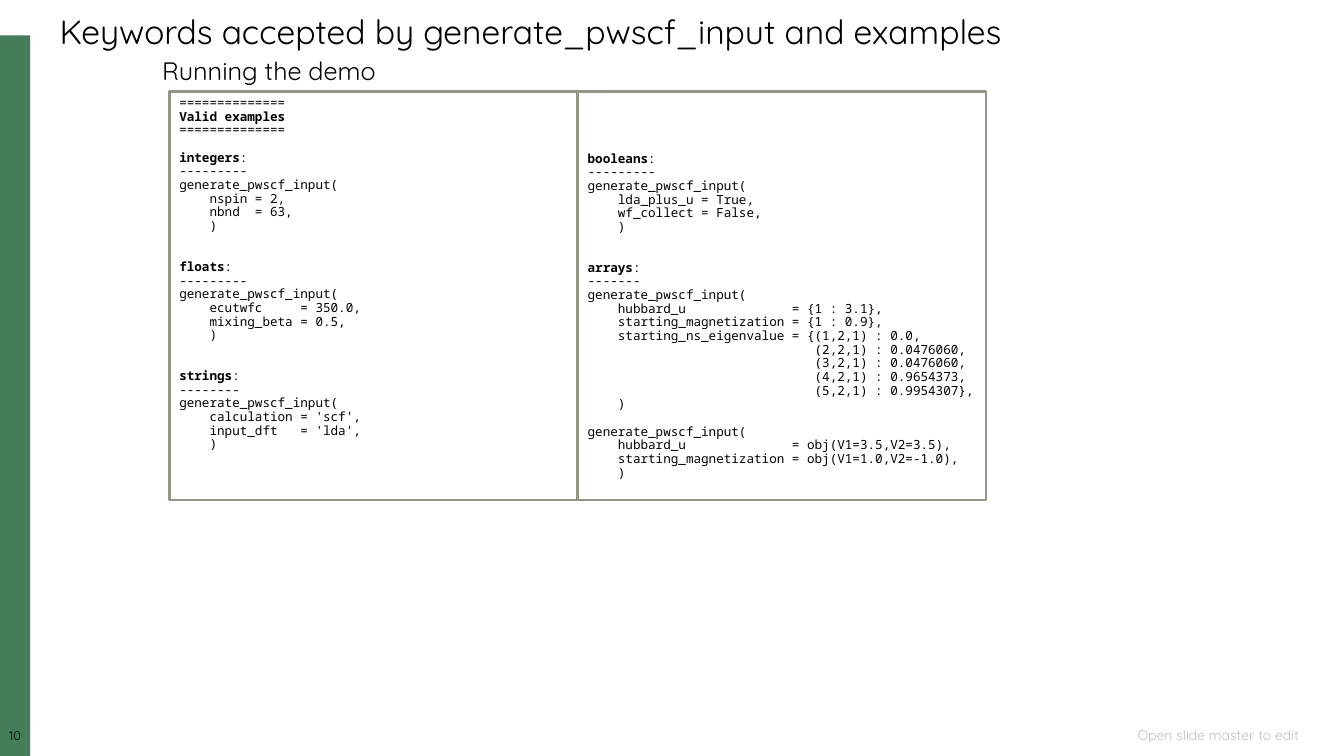
from pptx import Presentation
from pptx.dml.color import RGBColor
from pptx.enum.shapes import MSO_SHAPE
from pptx.enum.text import MSO_ANCHOR, MSO_AUTO_SIZE, PP_ALIGN
from pptx.util import Inches, Pt

BLACK = RGBColor(0x00, 0x00, 0x00)
GREEN = RGBColor(0x44, 0x7E, 0x59)
SAGE = RGBColor(0x91, 0x97, 0x85)
GRAY = RGBColor(0xBF, 0xBF, 0xBF)
SANS = "Quicksand"
MONO = "Noto Sans Mono"
CODE_PITCH = 9.75

BASIC_EXAMPLES = """==============
**Valid examples
==============

**integers:
---------
generate_pwscf_input(
    nspin = 2,
    nbnd  = 63,
    )


**floats:
---------
generate_pwscf_input(
    ecutwfc     = 350.0,
    mixing_beta = 0.5,
    )


**strings:
--------
generate_pwscf_input(
    calculation = 'scf',
    input_dft   = 'lda',
    )"""

COMPOUND_EXAMPLES = """**booleans:
---------
generate_pwscf_input(
    lda_plus_u = True,
    wf_collect = False,
    )


**arrays:
-------
generate_pwscf_input(
    hubbard_u              = {1 : 3.1},
    starting_magnetization = {1 : 0.9},
    starting_ns_eigenvalue = {(1,2,1) : 0.0,
                              (2,2,1) : 0.0476060,
                              (3,2,1) : 0.0476060,
                              (4,2,1) : 0.9654373,
                              (5,2,1) : 0.9954307},
    )

generate_pwscf_input(
    hubbard_u              = obj(V1=3.5,V2=3.5),
    starting_magnetization = obj(V1=1.0,V2=-1.0),
    )"""


def style_paragraph(para, font_name, size, color=BLACK, align=PP_ALIGN.LEFT):
    para.alignment = align
    para.line_spacing = 0.9
    para.font.name = font_name
    para.font.size = Pt(size)
    para.font.color.rgb = color


def place(shape, left, top, width, height):
    shape.left, shape.top = Inches(left), Inches(top)
    shape.width, shape.height = Inches(width), Inches(height)


def add_title(page, left, top, width, height):
    title = page.shapes.title
    place(title, left, top, width, height)
    frame = title.text_frame
    frame.text = "Keywords accepted by generate_pwscf_input and examples"
    frame.vertical_anchor = MSO_ANCHOR.MIDDLE
    frame.auto_size = MSO_AUTO_SIZE.NONE
    style_paragraph(frame.paragraphs[0], SANS, 24)


def add_label(page, text, left, top, width, height, size,
              color=BLACK, align=PP_ALIGN.LEFT, inset=True):
    label = page.shapes.add_textbox(
        Inches(left), Inches(top), Inches(width), Inches(height))
    frame = label.text_frame
    frame.text = text
    frame.word_wrap = True
    frame.vertical_anchor = MSO_ANCHOR.MIDDLE if inset else MSO_ANCHOR.TOP
    if not inset:
        frame.margin_left = frame.margin_right = 0
        frame.margin_top = frame.margin_bottom = 0
    style_paragraph(frame.paragraphs[0], SANS, size, color, align)


def add_rectangle(page, left, top, width, height):
    box = page.shapes.add_shape(
        MSO_SHAPE.RECTANGLE,
        Inches(left), Inches(top), Inches(width), Inches(height))
    box.shadow.inherit = False
    return box


def add_side_bar(page, left, top, width, height):
    bar = add_rectangle(page, left, top, width, height)
    bar.fill.solid()
    bar.fill.fore_color.rgb = GREEN
    bar.line.fill.background()
    add_label(page, "10", left, top + height - 0.26, width, 0.17, 9,
              align=PP_ALIGN.CENTER, inset=False)


def add_code_panel(page, code, left, top, width, height, top_margin):
    panel = add_rectangle(page, left, top, width, height)
    panel.fill.background()
    panel.line.color.rgb = SAGE
    panel.line.width = Pt(2)
    frame = panel.text_frame
    frame.word_wrap = False
    frame.vertical_anchor = MSO_ANCHOR.TOP
    frame.margin_top = Inches(top_margin)
    para = frame.paragraphs[0]
    gap = 0
    for line in code.split("\n"):
        if not line:
            gap += 1
            continue
        if para is None:
            para = frame.add_paragraph()
        if gap:
            para.space_before = Pt(gap * CODE_PITCH)
        style_paragraph(para, MONO, 9)
        if line.startswith("**"):
            heading, colon, _ = line[2:].partition(":")
            span = para.add_run()
            span.text = heading
            span.font.bold = True
            line = colon
        if line:
            para.add_run().text = line
        para, gap = None, 0


def add_examples(page, left, top, side):
    columns = [(BASIC_EXAMPLES, 0.05), (COMPOUND_EXAMPLES, 0.6)]
    for index, (code, top_margin) in enumerate(columns):
        add_code_panel(page, code, left + index * side, top, side, side, top_margin)


def main():
    deck = Presentation()
    deck.slide_width, deck.slide_height = Inches(13.33), Inches(7.5)
    page = deck.slides.add_slide(deck.slide_layouts[5])
    add_side_bar(page, 0, 0.35, 0.3, 7.15)
    add_label(page, "Open slide master to edit", 8.76, 7.2, 4.22, 0.2, 10,
              GRAY, PP_ALIGN.RIGHT)
    add_title(page, 0.49, 0.1, 12.5, 0.46)
    add_label(page, "Running the demo", 1.51, 0.53, 2.48, 0.37, 18)
    add_examples(page, 1.68, 0.91, 4.05)
    deck.save("out.pptx")


if __name__ == "__main__":
    main()
